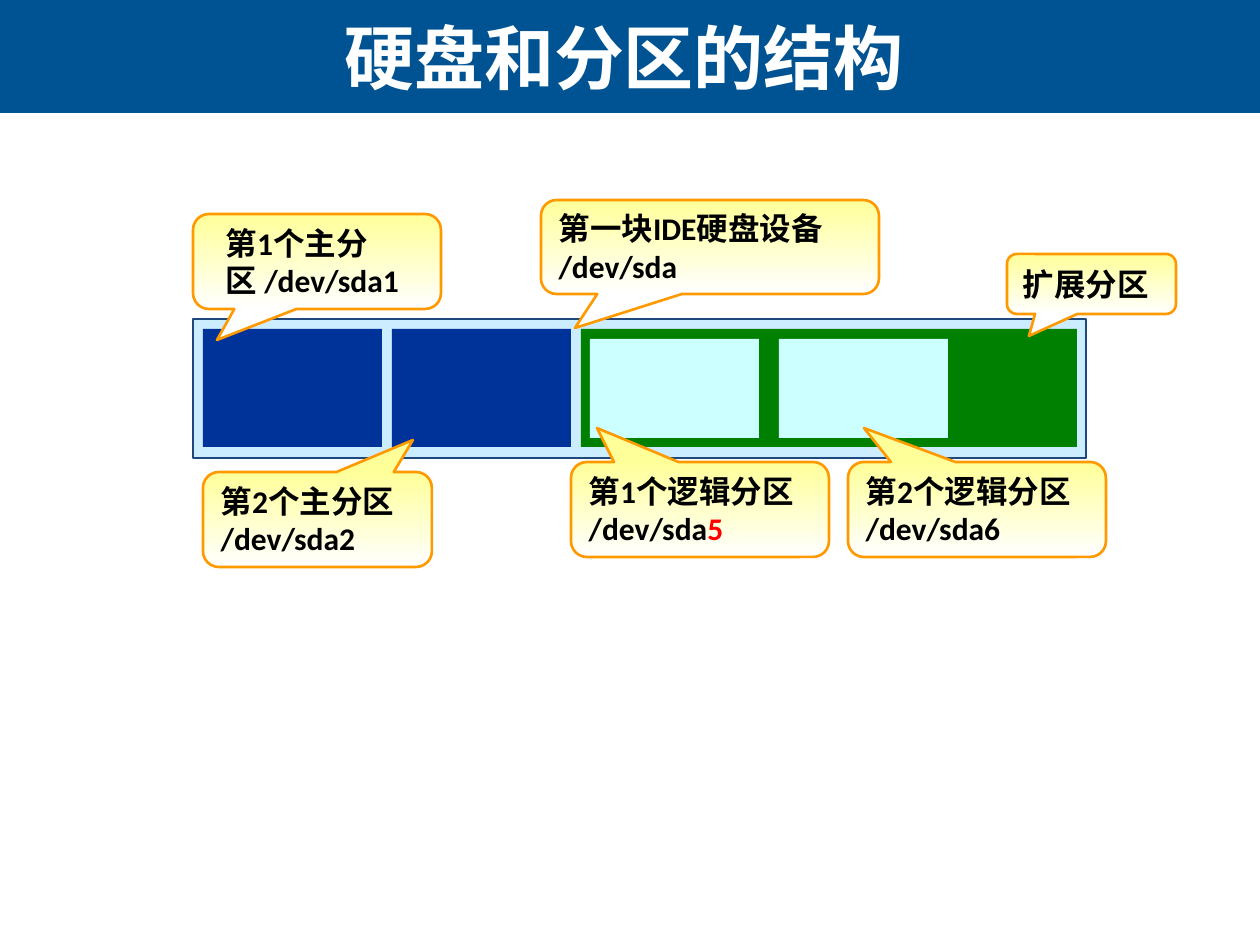
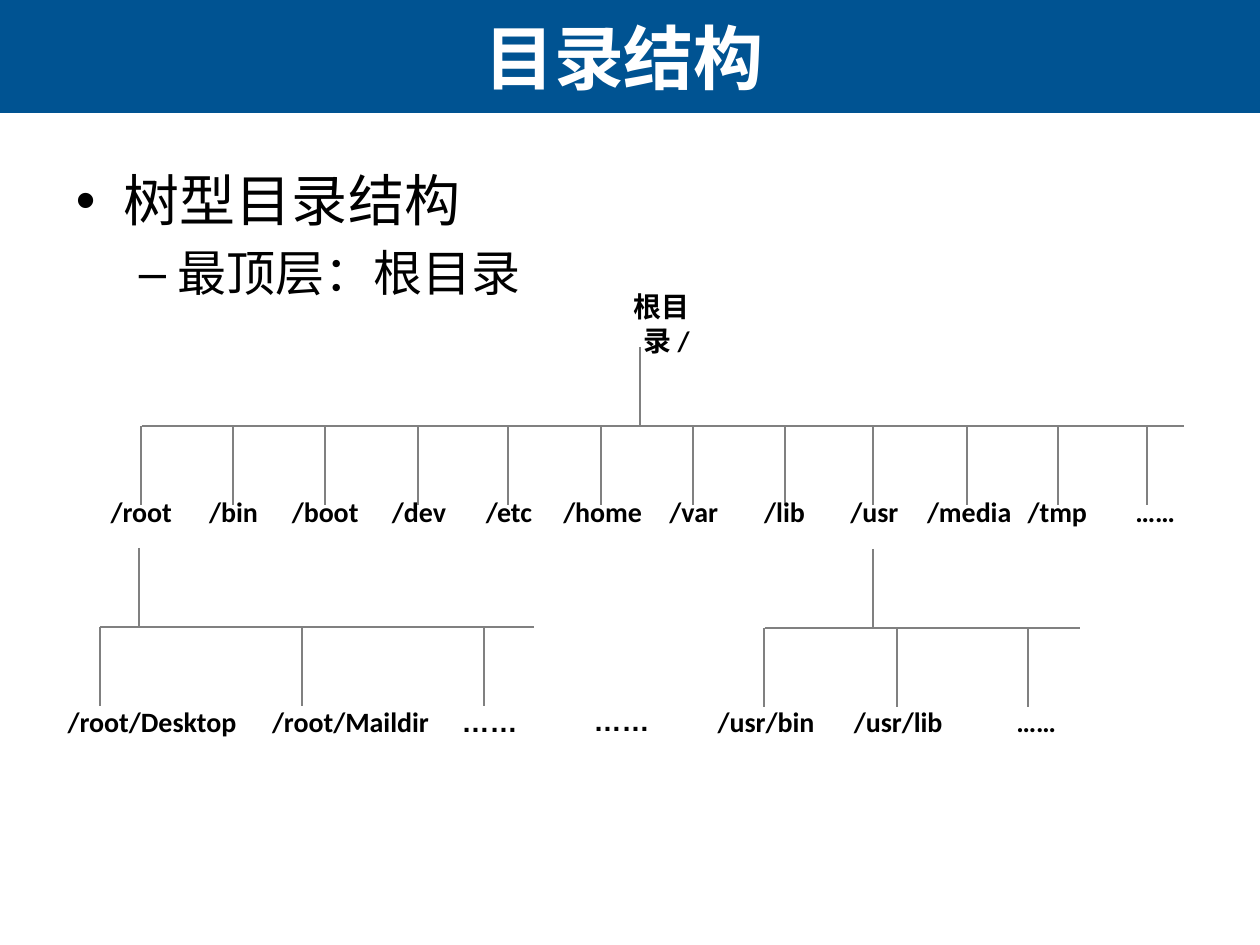
from pptx import Presentation
from pptx.dml.color import RGBColor
from pptx.enum.shapes import MSO_CONNECTOR as Line, MSO_SHAPE as Shape
from pptx.enum.text import MSO_ANCHOR as Anchor, PP_ALIGN as Align
from pptx.oxml import parse_xml
from pptx.oxml.ns import nsdecls, qn
from pptx.util import Pt

SCALE = 914400 // 126
WIDTH, HEIGHT = 1260, 945
BAND_HEIGHT = 113
BAND, WHITE, BLACK, RED = "005392", "FFFFFF", "000000", "FF0000"
CALLOUT_TOP, CALLOUT_LINE = "FFFF99", "FF9900"
TREE_LINE = "808080"
TITLE_FONT, BODY_FONT = "Arial", "Calibri"


def px(length):
    """Turn pixels into EMU."""
    return round(length * SCALE)


def colour(code):
    """Turn a hex string into a colour."""
    return RGBColor.from_string(code)


def write(box, paragraphs, size=18, font=BODY_FONT, color=BLACK, bold=True,
          align=Align.LEFT, anchor=Anchor.MIDDLE, wrap=True, left=13, right=13):
    """Fill a box with paragraphs, each a list of (text, colour or None) spans."""
    frame = box.text_frame
    frame.word_wrap = wrap
    frame.vertical_anchor = anchor
    frame.margin_left, frame.margin_right = px(left), px(right)
    frame.margin_top = frame.margin_bottom = px(6)
    for index, spans in enumerate(paragraphs):
        para = frame.add_paragraph() if index else frame.paragraphs[0]
        para.alignment = align
        for text, span_color in spans:
            span = para.add_run()
            span.text = text
            span.font.name, span.font.size, span.font.bold = font, Pt(size), bold
            span.font.color.rgb = colour(span_color or color)
    return frame


def plain(*lines):
    """Make one single-span paragraph of each line."""
    return [[(line, None)] for line in lines]


def add_text(page, x, y, width, height, paragraphs, **style):
    """Add a text box."""
    box = page.shapes.add_textbox(px(x), px(y), px(width), px(height))
    return write(box, paragraphs, **style)


def add_block(page, x, y, width, height, fill, line=None):
    """Add a filled rectangle, outlined only when a line colour is given."""
    block = page.shapes.add_shape(Shape.RECTANGLE, px(x), px(y), px(width), px(height))
    block.shadow.inherit = False
    block.fill.solid()
    block.fill.fore_color.rgb = colour(fill)
    if line:
        block.line.color.rgb, block.line.width = colour(line), Pt(0.75)
    else:
        block.line.fill.background()


def add_callout(page, x, y, width, height, tip, paragraphs, **style):
    """Add a gradient speech bubble whose tail ends at the tip."""
    bubble = page.shapes.add_shape(Shape.ROUNDED_RECTANGULAR_CALLOUT,
                                   px(x), px(y), px(width), px(height))
    bubble.shadow.inherit = False
    bubble.adjustments[0] = (tip[0] - x) / width - 0.5
    bubble.adjustments[1] = (tip[1] - y) / height - 0.5
    bubble.fill.gradient()
    bubble.fill.gradient_angle = 270
    for stop, code in zip(bubble.fill.gradient_stops, (CALLOUT_TOP, WHITE)):
        stop.color.rgb = colour(code)
    bubble.line.color.rgb, bubble.line.width = colour(CALLOUT_LINE), Pt(1.5)
    write(bubble, paragraphs, **style)


def add_line(page, x1, y1, x2, y2):
    """Add a thin grey tree line."""
    line = page.shapes.add_connector(Line.STRAIGHT, px(x1), px(y1), px(x2), px(y2))
    line.line.color.rgb, line.line.width = colour(TREE_LINE), Pt(0.75)
    line._element.spPr.append(parse_xml(f"<a:effectLst {nsdecls('a')}/>"))


def add_label(page, center, y, width, text, font=BODY_FONT):
    """Add a directory name, right-aligned in a box around its centre."""
    add_text(page, center - width / 2, y, width, 47, plain(text), size=16,
             font=font, align=Align.RIGHT, anchor=Anchor.TOP, left=0)


def add_branch(page, stem, rail, rail_y, children, label_y):
    """Draw a stem, a rail and one drop with a label for each child.

    A child is (text, drop x, label width, label shift, font).
    """
    reach = 79
    add_line(page, stem, rail_y - reach, stem, rail_y)
    add_line(page, rail[0], rail_y, rail[1], rail_y)
    for text, x, width, shift, font in children:
        add_line(page, x, rail_y, x, rail_y + reach)
        add_label(page, x + shift, label_y, width, text, font)


def centered(*children):
    """Complete children whose labels sit right under their drops."""
    return [(*child, 0, BODY_FONT) for child in children]


def add_bullet(para, mark, margin, hang, space):
    """Give a paragraph a bullet, a hanging indent and space before it."""
    para.space_before = Pt(space)
    properties = para._p.get_or_add_pPr()
    properties.set("marL", str(px(margin)))
    properties.set("indent", str(px(-hang)))
    for tag, name, value in (("buFont", "typeface", "Arial"), ("buChar", "char", mark)):
        item = properties.makeelement(qn(f"a:{tag}"), {name: value})
        properties.append(item)


def add_page(deck, title):
    """Add a blank page with the title band."""
    page = deck.slides.add_slide(deck.slide_layouts[6])
    add_block(page, 0, 0, WIDTH, BAND_HEIGHT, BAND)
    add_text(page, 2, 0, 1244, BAND_HEIGHT, plain(title), size=40,
             font=TITLE_FONT, color=WHITE, align=Align.CENTER)
    return page


def build_disk(deck):
    """Show a disk with its primary, extended and logical partitions."""
    page = add_page(deck, "硬盘和分区的结构")
    add_block(page, 193, 319, 893, 139, "CCECFF", "1F497D")
    for x, width, fill in ((203, 179, "003399"), (392, 179, "003399"),
                           (581, 496, "008000")):
        add_block(page, x, 329, width, 118, fill)
    for x in (590, 779):
        add_block(page, x, 339, 169, 99, "CCFFFF")

    add_callout(page, 193, 214, 248, 95, (217, 340),
                plain("第1个主分区 /dev/sda1"), left=28, right=28)
    add_callout(page, 203, 472, 229, 95, (413, 440),
                plain("第2个主分区", "/dev/sda2"), wrap=False)
    add_callout(page, 571, 462, 258, 95, (597, 428),
                [[("第1个逻辑分区", None)], [("/dev/sda", None), ("5", RED)]], wrap=False)
    add_callout(page, 848, 462, 258, 95, (864, 428),
                plain("第2个逻辑分区", "/dev/sda6"), wrap=False)
    add_callout(page, 1007, 254, 169, 60, (1029, 336), plain("扩展分区"), wrap=False)
    add_callout(page, 541, 200, 338, 94, (575, 328),
                plain("第一块IDE硬盘设备", "/dev/sda"), wrap=False)


def build_tree(deck):
    """Show the directory tree below the root."""
    page = add_page(deck, "目录结构")
    frame = add_text(page, 63, 160, 1134, 174, plain("树型目录结构", "最顶层：根目录"),
                     size=32, bold=False, anchor=Anchor.TOP)
    top, below = frame.paragraphs
    add_bullet(top, "•", 48, 48, 6.4)
    add_bullet(below, "–", 102, 39, 5.6)
    below.level = 1
    below.runs[0].font.size = Pt(28)

    add_label(page, 648, 284, 109, "根目录 /")
    add_branch(page, 640, (142, 1184), 426, centered(
        ("/root", 141, 88), ("/bin", 233, 76), ("/boot", 325, 93),
        ("/dev", 418, 82), ("/etc", 508, 74), ("/home", 601, 108),
        ("/var", 693, 76), ("/lib", 785, 66), ("/usr", 873, 77),
        ("/media", 967, 115), ("/tmp", 1058, 84), ("……", 1147, 82)), 489)
    add_branch(page, 139, (100, 534), 627, [
        ("/root/Desktop", 100, 205, 47, BODY_FONT),
        ("/root/Maildir", 302, 186, 47, BODY_FONT),
        ("……", 484, 97, -2, TITLE_FONT)], 699)
    add_label(page, 614, 698, 97, "……", TITLE_FONT)
    add_branch(page, 873, (765, 1080), 628, centered(
        ("/usr/bin", 764, 127), ("/usr/lib", 897, 117), ("……", 1028, 82)), 699)


def main():
    """Build and save the deck."""
    deck = Presentation()
    deck.slide_width, deck.slide_height = px(WIDTH), px(HEIGHT)
    build_disk(deck)
    build_tree(deck)
    deck.save("out.pptx")


main()
